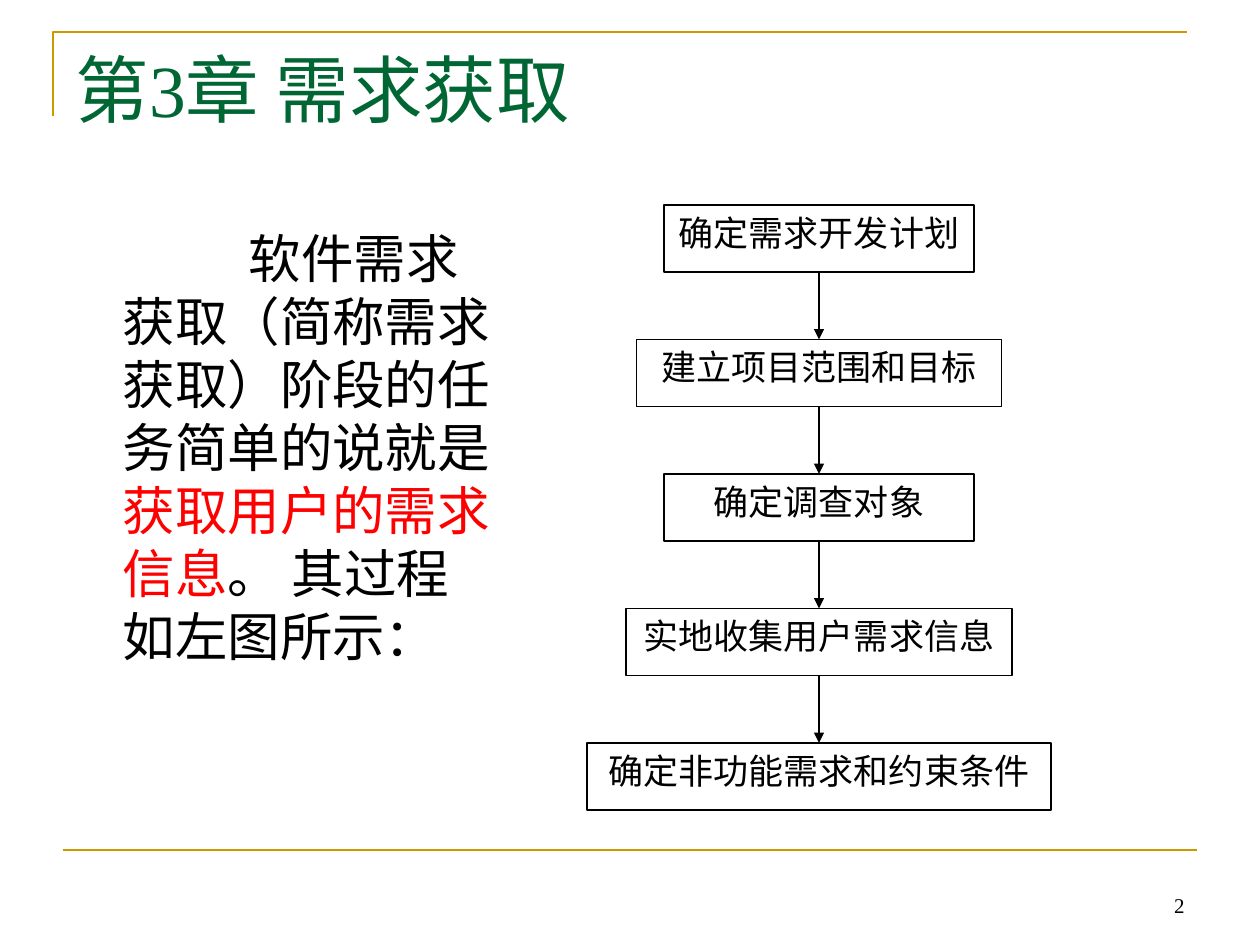
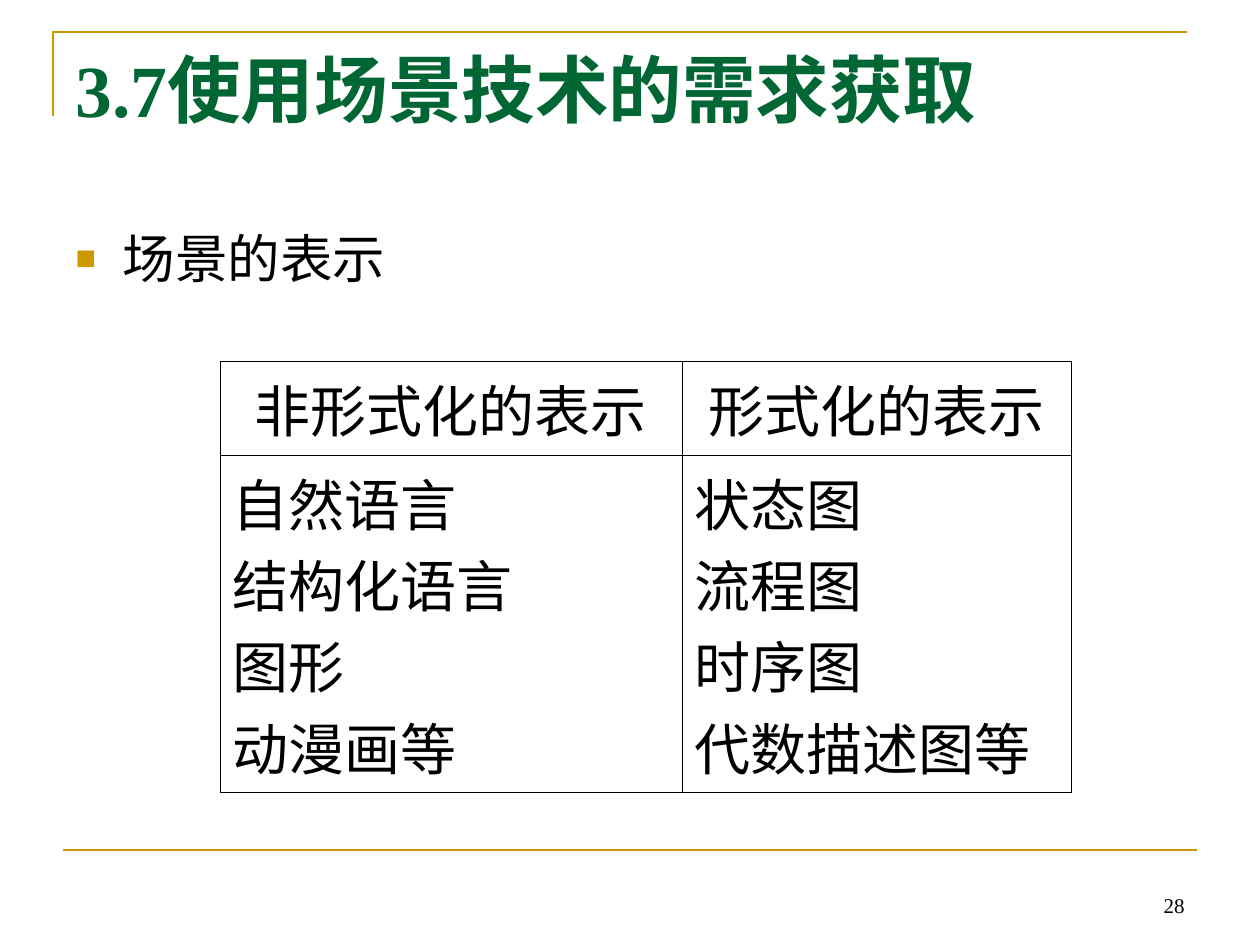
from lxml.etree import SubElement
from pptx import Presentation
from pptx.dml.color import RGBColor
from pptx.enum.shapes import MSO_CONNECTOR, MSO_SHAPE
from pptx.enum.text import MSO_ANCHOR, MSO_AUTO_SIZE, PP_ALIGN
from pptx.oxml.ns import qn
from pptx.util import Emu, Pt

COLORS = {
    "gold": "CC9900",
    "green": "006633",
    "black": "000000",
    "red": "FF0000",
    "white": "FFFFFF",
}
SERIF, SANS = "Times New Roman", "Arial"
SCALE = 914400 / 126

CHAPTER = {"title": "第3章 需求获取", "number": "2"}
INTRODUCTION = [
    ("软件需求获取（简称需求获取）阶段的任务简单的说就是", "black"),
    ("获取用户的需求信息", "red"),
    ("。 其过程如左图所示：", "black"),
]
STEPS = [
    ("确定需求开发计划", 310),
    ("建立项目范围和目标", 365),
    ("确定调查对象", 310),
    ("实地收集用户需求信息", 386),
    ("确定非功能需求和约束条件", 464),
]
FLOW_CENTER, FLOW_TOP, STEP_HEIGHT, STEP_PITCH = 819, 205, 67, 134.5

SECTION = {"title": "3.7使用场景技术的需求获取", "number": "28"}
TOPIC = "场景的表示"
REPRESENTATIONS = [
    ("非形式化的表示", ["自然语言", "结构化语言", "图形", "动漫画等"]),
    ("形式化的表示", ["状态图", "流程图", "时序图", "代数描述图等"]),
]
COLUMN_WIDTHS, ROW_HEIGHTS = [462, 389], [93, 281]


def px(value):
    return Emu(round(value * SCALE))


def box(left, top, width, height):
    return px(left), px(top), px(width), px(height)


def color(name):
    return RGBColor.from_string(COLORS[name])


def write(paragraph, text, font=SERIF, size=20, ink="black", bold=False, align=PP_ALIGN.LEFT):
    paragraph.alignment = align
    run = paragraph.add_run()
    run.text = text
    run.font.name = font
    run.font.size = Pt(size)
    run.font.bold = bold
    run.font.color.rgb = color(ink)


def set_line(shape, ink, width):
    shape.line.color.rgb = color(ink)
    shape.line.width = Pt(width)


def add_line(slide, start, end, ink="black", width=0.74, arrow=False):
    points = [px(value) for value in (*start, *end)]
    connector = slide.shapes.add_connector(MSO_CONNECTOR.STRAIGHT, *points)
    set_line(connector, ink, width)
    if arrow:
        SubElement(connector.line._get_or_add_ln(), qn("a:tailEnd"), type="triangle")
    SubElement(connector._element.spPr, qn("a:effectLst"))


def prepare_frame(shape, anchor=MSO_ANCHOR.TOP):
    frame = shape.text_frame
    frame.word_wrap = True
    frame.auto_size = MSO_AUTO_SIZE.NONE
    frame.vertical_anchor = anchor
    return frame


def add_slide(presentation, content, bold=False):
    slide = presentation.slides.add_slide(presentation.slide_layouts[1])
    builder = slide.shapes.build_freeform(px(53), px(116))
    builder.add_line_segments([(px(53), px(32)), (px(1187), px(32))], close=False)
    bracket = builder.convert_to_shape()
    bracket.shadow.inherit = False
    bracket.fill.background()
    set_line(bracket, "gold", 1.5)
    add_line(slide, (63, 850), (1197, 850), ink="gold", width=1.5)

    number = slide.shapes.add_textbox(*box(903, 861, 294, 63))
    frame = prepare_frame(number, MSO_ANCHOR.BOTTOM)
    write(frame.paragraphs[0], content["number"], size=12, align=PP_ALIGN.RIGHT)

    title = slide.shapes.title
    title.left, title.top, title.width, title.height = box(63, 38, 1134, 157)
    write(prepare_frame(title).paragraphs[0], content["title"], size=42, ink="green", bold=bold)
    return slide


def fill_body(slide, runs, width, height, indent, bullet=None):
    body = slide.placeholders[1]
    body.left, body.top, body.width, body.height = box(63, 220, width, height)
    paragraph = prepare_frame(body).paragraphs[0]
    for text, ink in runs:
        write(paragraph, text, font=SANS, size=30, ink=ink)
    paragraph.space_before = Pt(7.5)
    properties = paragraph._p.get_or_add_pPr()
    properties.set("marL", str(px(47)))
    properties.set("indent", str(px(indent)))
    if bullet:
        bullet_color = SubElement(properties, qn("a:buClr"))
        SubElement(bullet_color, qn("a:srgbClr"), val=COLORS["gold"])
        SubElement(properties, qn("a:buSzPct"), val="65000")
        SubElement(properties, qn("a:buChar"), char=bullet)
    else:
        SubElement(properties, qn("a:buNone"))


def add_flow(slide):
    tops = [FLOW_TOP + index * STEP_PITCH for index in range(len(STEPS))]
    for (text, width), top in zip(STEPS, tops):
        left = FLOW_CENTER - width / 2
        step = slide.shapes.add_shape(
            MSO_SHAPE.FLOWCHART_PROCESS, *box(left, top, width, STEP_HEIGHT))
        step.shadow.inherit = False
        step.fill.solid()
        step.fill.fore_color.rgb = color("white")
        set_line(step, "black", 0.74)
        write(prepare_frame(step).paragraphs[0], text, align=PP_ALIGN.CENTER)
    for top, next_top in zip(tops, tops[1:]):
        add_line(slide, (FLOW_CENTER, top + STEP_HEIGHT), (FLOW_CENTER, next_top), arrow=True)


def fill_cell(cell, lines, align):
    cell.fill.background()
    frame = cell.text_frame
    for index, text in enumerate(lines):
        paragraph = frame.add_paragraph() if index else frame.paragraphs[0]
        write(paragraph, text, size=32, align=align)
    properties = cell._tc.get_or_add_tcPr()
    for position, side in enumerate(("lnL", "lnR", "lnT", "lnB")):
        border = SubElement(properties, qn(f"a:{side}"), w=str(Pt(0.45)))
        fill = SubElement(border, qn("a:solidFill"))
        SubElement(fill, qn("a:srgbClr"), val=COLORS["black"])
        properties.insert(position, border)


def add_representations(slide):
    frame = slide.shapes.add_table(
        2, 2, *box(220, 361, sum(COLUMN_WIDTHS), sum(ROW_HEIGHTS)))
    table = frame.table
    table.first_row = table.horz_banding = False
    for row, height in zip(table.rows, ROW_HEIGHTS):
        row.height = px(height)
    for index, (heading, entries) in enumerate(REPRESENTATIONS):
        table.columns[index].width = px(COLUMN_WIDTHS[index])
        fill_cell(table.cell(0, index), [heading], PP_ALIGN.CENTER)
        fill_cell(table.cell(1, index), entries, PP_ALIGN.LEFT)


presentation = Presentation()
presentation.slide_width, presentation.slide_height = px(1260), px(945)

chapter_slide = add_slide(presentation, CHAPTER)
fill_body(chapter_slide, INTRODUCTION, width=451, height=588, indent=126)
add_flow(chapter_slide)

section_slide = add_slide(presentation, SECTION, bold=True)
fill_body(section_slide, [(TOPIC, "black")], width=1134, height=95, indent=-47, bullet="■")
add_representations(section_slide)

presentation.save("out.pptx")
